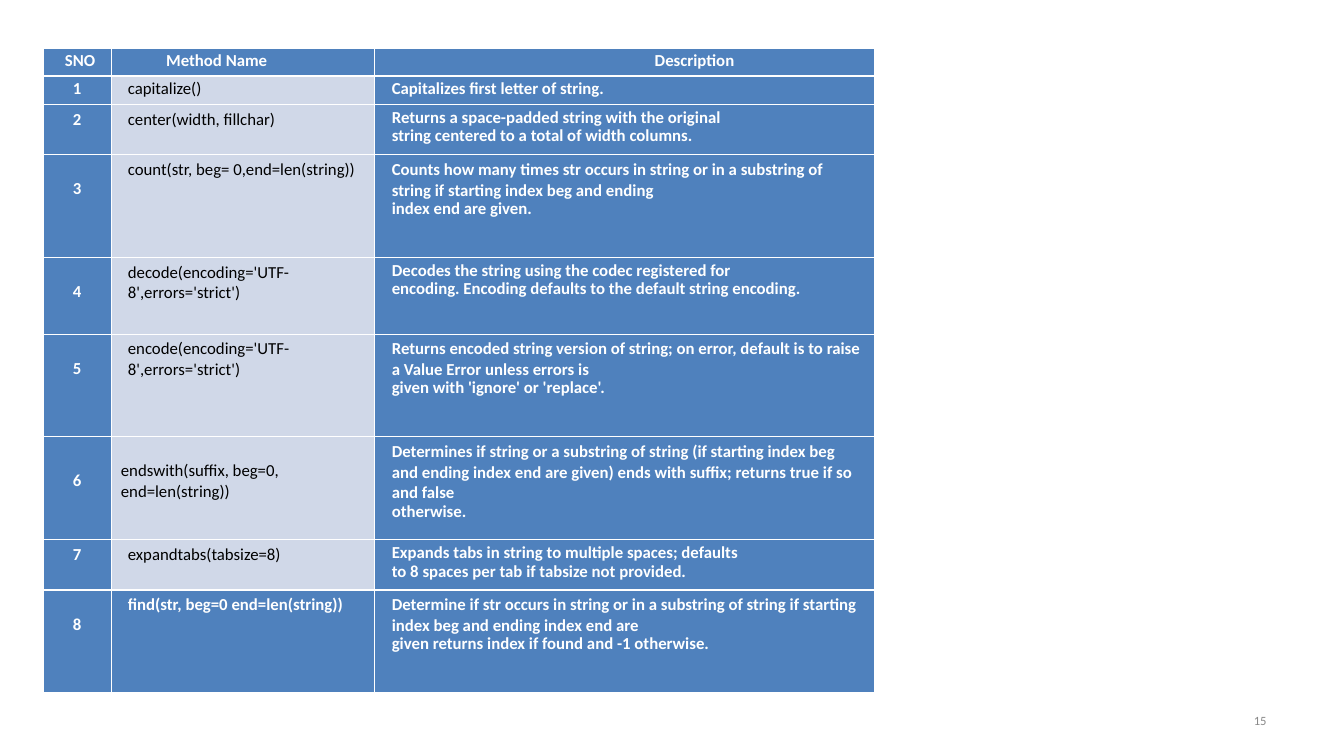
from lxml import etree
from pptx import Presentation
from pptx.dml.color import RGBColor
from pptx.enum import text
from pptx.oxml import ns
from pptx.util import Inches, Pt

WHITE = RGBColor(0xFF, 0xFF, 0xFF)
BLACK = RGBColor(0, 0, 0)
BLUE = RGBColor(0x4F, 0x81, 0xBD)
PALE_BLUE = RGBColor(0xD0, 0xD8, 0xE8)
GREY = RGBColor(0x89, 0x89, 0x89)

CENTER, LEFT, RIGHT = text.PP_ALIGN.CENTER, text.PP_ALIGN.LEFT, text.PP_ALIGN.RIGHT
THIN, THICK = 0.45, 1.47
HEADER_LINE, TIGHT_LINE, LAST_LINE = Pt(12.7), Pt(13.3), Pt(13.2)
COLUMN_WIDTHS = (0.67, 2.62, 4.96)
HEADER_HEIGHT = 0.25
THICK_BELOW = (0, 7)

# Header text, left margin, alignment
HEADERS = (
    ("SNO", 0.16, CENTER),
    ("Method Name", 0.55, LEFT),
    ("Description", 1.49, CENTER),
)

# Row height, number's top margin, method, description paragraphs
METHODS = (
    (0.25, 0.05, "capitalize()", ["Capitalizes first letter of string."]),
    (0.5, 0.05, "center(width, fillchar)",
     ["Returns a space-padded string with the original",
      "string centered to a total of width columns."]),
    (1.02, 0.24, "count(str, beg= 0,end=len(string))",
     ["Counts how many times str occurs in string or in a substring of string "
      "if starting index beg and ending",
      "index end are given."]),
    (0.76, 0.24, "decode(encoding='UTF- 8',errors='strict')",
     ["Decodes the string using the codec registered for",
      "encoding. Encoding defaults to the default string encoding."]),
    (1.02, 0.24, "encode(encoding='UTF- 8',errors='strict')",
     ["Returns encoded string version of string; on error, default is to raise "
      "a Value Error unless errors is",
      "given with 'ignore' or 'replace'."]),
    (1.02, 0.34, "endswith(suffix, beg=0, end=len(string))",
     ["Determines if string or a substring of string (if starting index beg and "
      "ending index end are given) ends with suffix; returns true if so and false",
      "otherwise."]),
    (0.5, 0.05, "expandtabs(tabsize=8)",
     ["Expands tabs in string to multiple spaces; defaults",
      "to 8 spaces per tab if tabsize not provided."]),
    (1.02, 0.24, "find(str, beg=0 end=len(string))",
     ["Determine if str occurs in string or in a substring of string if starting "
      "index beg and ending index end are",
      "given returns index if found and -1 otherwise."]),
)


def write_paragraph(paragraph, words, size=12, color=WHITE, bold=True,
                    alignment=LEFT, line_spacing=None):
    paragraph.alignment = alignment
    paragraph.line_spacing = line_spacing
    run = paragraph.add_run()
    run.text = words
    run.font.color.rgb = color
    for name, value in dict(name="Calibri", size=Pt(size), bold=bold).items():
        setattr(run.font, name, value)


def add_borders(cell, top, bottom):
    """Draw white lines on all four sides, with top and bottom widths in points."""
    properties = cell._tc.get_or_add_tcPr()
    for side, width in (("L", THIN), ("R", THIN), ("T", top), ("B", bottom)):
        line = etree.SubElement(properties, ns.qn(f"a:ln{side}"), w=str(Pt(width)))
        fill = etree.SubElement(line, ns.qn("a:solidFill"))
        etree.SubElement(fill, ns.qn("a:srgbClr"), val=str(WHITE))


def fill_cell(cell, paragraphs, fill=BLUE, margin_left=0.17, margin_top=0.05,
              line_spacings=(None,), **style):
    cell.fill.solid()
    cell.fill.fore_color.rgb = fill
    cell.margin_left = Inches(margin_left)
    cell.margin_top = Inches(margin_top)
    frame = cell.text_frame
    for index, (words, spacing) in enumerate(zip(paragraphs, line_spacings)):
        paragraph = frame.add_paragraph() if index else frame.paragraphs[0]
        write_paragraph(paragraph, words, line_spacing=spacing, **style)


def fill_method_row(cells, number, margin_top, method, description):
    single = len(description) == 1
    spacing = HEADER_LINE if single else None
    fill_cell(cells[0], [str(number)], margin_left=0.1, margin_top=margin_top,
              line_spacings=[spacing], alignment=CENTER)

    is_last = number == len(METHODS)
    method_style = {} if is_last else dict(fill=PALE_BLUE, color=BLACK, bold=False)
    if method.startswith("endswith"):
        method_style.update(margin_left=0.1, margin_top=0.24)
    fill_cell(cells[1], [method], line_spacings=[spacing], **method_style)

    fits_one_line = len(description[0]) < 60
    first = spacing or (TIGHT_LINE if fits_one_line else None)
    fill_cell(cells[2], description, line_spacings=[first, LAST_LINE])


def add_method_table(slide, left, top, width, height):
    table = slide.shapes.add_table(
        len(METHODS) + 1, len(HEADERS),
        Inches(left), Inches(top), Inches(width), Inches(height)).table
    table.first_row = table.horz_banding = False
    for column, column_width in zip(table.columns, COLUMN_WIDTHS):
        column.width = Inches(column_width)
    heights = [HEADER_HEIGHT] + [method[0] for method in METHODS]
    for index, (row, row_height) in enumerate(zip(table.rows, heights)):
        row.height = Inches(row_height)
        for cell in row.cells:
            add_borders(cell, THICK if index - 1 in THICK_BELOW else THIN,
                        THICK if index in THICK_BELOW else THIN)

    for column, (words, margin, alignment) in enumerate(HEADERS):
        fill_cell(table.cell(0, column), [words], margin_left=margin,
                  line_spacings=[HEADER_LINE], alignment=alignment)
    for number, (_, margin_top, method, description) in enumerate(METHODS, 1):
        cells = [table.cell(number, column) for column in range(len(HEADERS))]
        fill_method_row(cells, number, margin_top, method, description)


def add_page_number(slide, left, top, width, height):
    frame = slide.shapes.add_textbox(
        Inches(left), Inches(top), Inches(width), Inches(height)).text_frame
    frame.word_wrap = True
    frame.vertical_anchor = text.MSO_ANCHOR.MIDDLE
    write_paragraph(frame.paragraphs[0], "15", size=9, color=GREY, bold=False,
                    alignment=RIGHT)


def main():
    presentation = Presentation()
    presentation.slide_width = Inches(13.34)
    presentation.slide_height = Inches(7.5)
    slide = presentation.slides.add_slide(presentation.slide_layouts[6])
    add_method_table(slide, 0.43, 0.48, 8.26, 6.31)
    add_page_number(slide, 9.56, 6.95, 3.11, 0.4)
    presentation.save("out.pptx")


if __name__ == "__main__":
    main()
